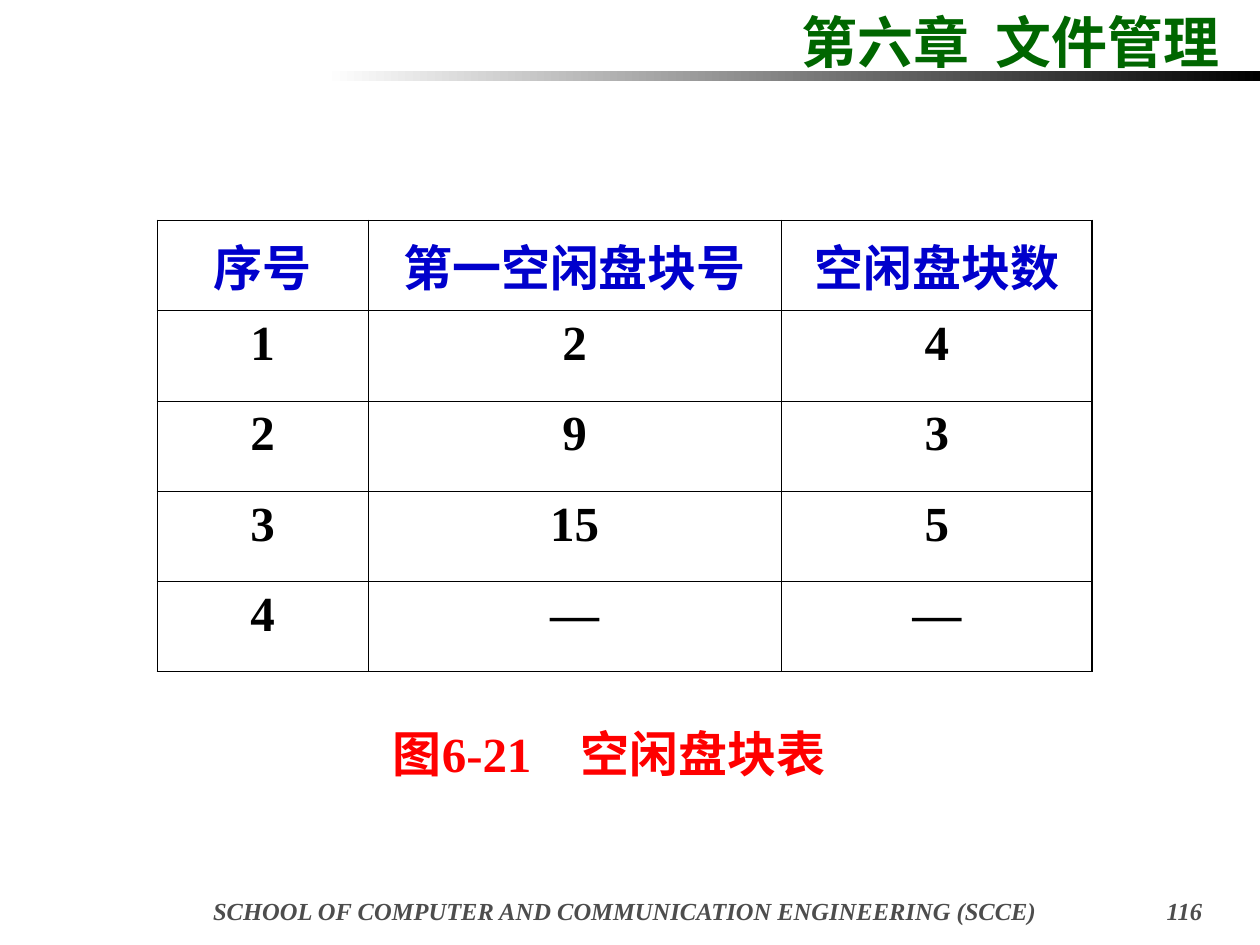
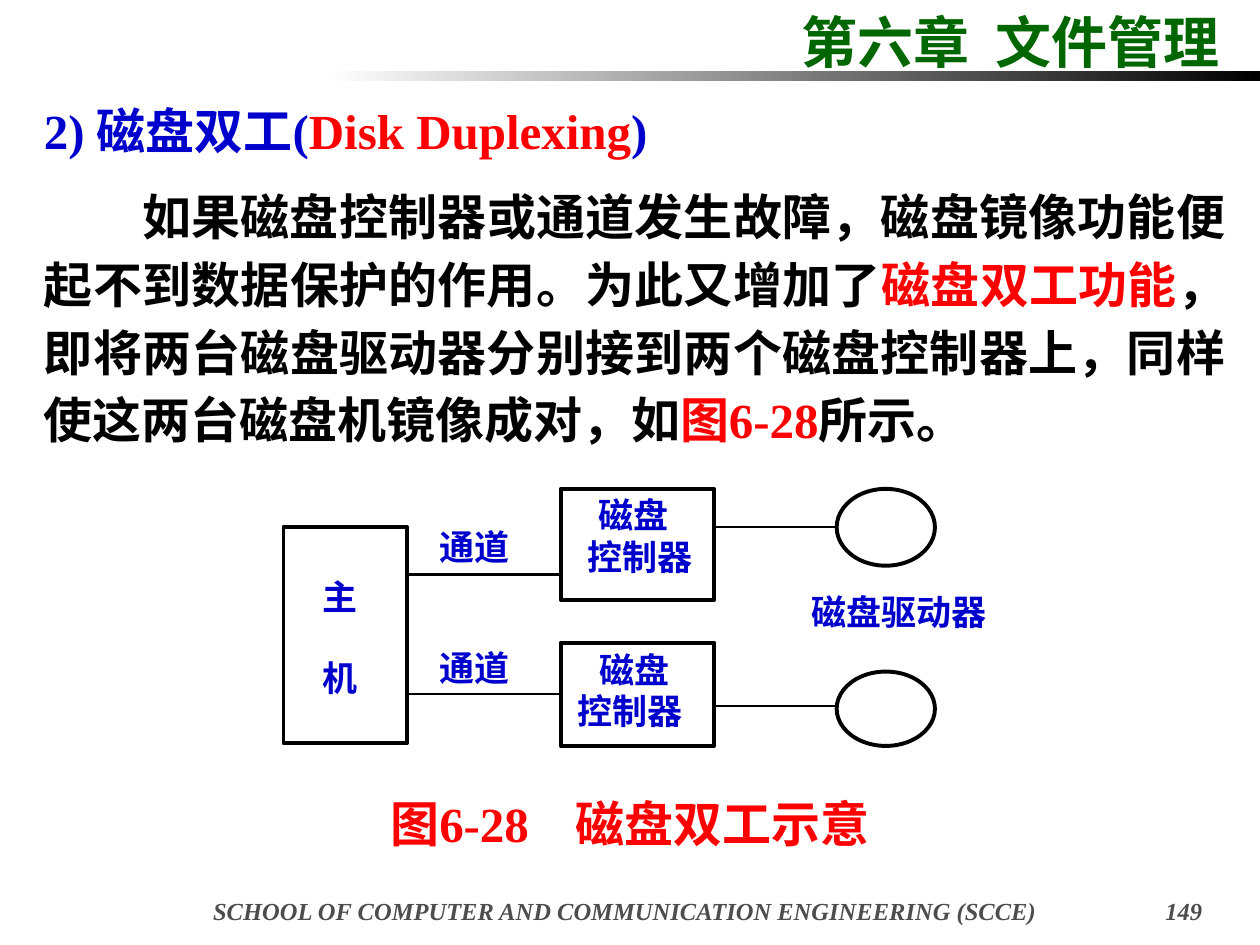
import pptx
import pptx.dml.color
import pptx.enum.dml
import pptx.enum.shapes
import pptx.enum.text
import pptx.oxml
import pptx.oxml.ns
import pptx.util

Inches = pptx.util.Inches
Pt = pptx.util.Pt
RGBColor = pptx.dml.color.RGBColor
SHAPE = pptx.enum.shapes.MSO_SHAPE
ALIGN = pptx.enum.text.PP_ALIGN
qn = pptx.oxml.ns.qn

BLACK = RGBColor(0x00, 0x00, 0x00)
WHITE = RGBColor(0xFF, 0xFF, 0xFF)
GREEN = RGBColor(0x00, 0x66, 0x00)
BLUE = RGBColor(0x00, 0x00, 0xCC)
RED = RGBColor(0xFF, 0x00, 0x00)
GREY = RGBColor(0x4D, 0x4D, 0x4D)
SERIF = "Times New Roman"
SANS = "Noto Sans CJK SC"


class Deck:
    """Holds the chapter style and the current slide, and draws each kind of element."""

    def __init__(self):
        self.prs = pptx.Presentation()
        self.prs.slide_width = Inches(10)
        self.prs.slide_height = Inches(7.5)
        self.s = None

    def slide(self, number):
        self.s = self.prs.slides.add_slide(self.prs.slide_layouts[6])
        self.text(6.26, 0.01, 3.6, 0.64, "第六章\t文件管理", GREEN, 32, tab=1.54)
        self.band()
        self.text(1.22, 7.06, 7.48, 0.26,
                  "SCHOOL OF COMPUTER AND COMMUNICATION ENGINEERING (SCCE)",
                  GREY, 14, italic=True, align=ALIGN.CENTER)
        self.text(8.7, 7.06, 0.94, 0.24, number, GREY, 14, italic=True, align=ALIGN.RIGHT)

    def band(self):
        sp = self.s.shapes.add_shape(SHAPE.RECTANGLE, Inches(2.58), Inches(0.56),
                                     Inches(7.42), Inches(0.08))
        sp.shadow.inherit = False
        sp.line.fill.background()
        sp.fill.gradient()
        sp.fill.gradient_angle = 180
        for stop, color in zip(sp.fill.gradient_stops, (BLACK, WHITE)):
            stop.color.rgb = color

    def run(self, p, text, color, size, font=SERIF, italic=False):
        r = p.add_run()
        r.text = text
        r.font.name = font
        r.font.size = Pt(size)
        r.font.bold = True
        r.font.italic = italic
        r.font.color.rgb = color
        ea = pptx.oxml.parse_xml(
            f'<a:ea {pptx.oxml.ns.nsdecls("a")} typeface="{SANS}"/>')
        r.font._element.find(qn("a:latin")).addnext(ea)

    def box(self, x, y, w, h, inset=True):
        tf = self.s.shapes.add_textbox(Inches(x), Inches(y), Inches(w), Inches(h)).text_frame
        tf.word_wrap = inset
        if not inset:
            tf.margin_left = tf.margin_right = tf.margin_top = tf.margin_bottom = 0
        return tf

    def text(self, x, y, w, h, text, color, size, italic=False, align=ALIGN.LEFT, tab=None):
        p = self.box(x, y, w, h).paragraphs[0]
        if tab:
            p._p.get_or_add_pPr().append(pptx.oxml.parse_xml(
                f'<a:tabLst {pptx.oxml.ns.nsdecls("a")}>'
                f'<a:tab pos="{Inches(tab)}" algn="l"/></a:tabLst>'))
        p.alignment = align
        self.run(p, text, color, size, italic=italic)

    def caption(self, x, y, text, tab=None):
        self.text(x, y, 4.2, 0.57, text, RED, 28, tab=tab)

    def body(self, x, y, w, h, paragraphs):
        tf = self.box(x, y, w, h)
        for i, (indent, runs) in enumerate(paragraphs):
            p = tf.add_paragraph() if i else tf.paragraphs[0]
            p._p.get_or_add_pPr().set("indent", str(Inches(indent)))
            p.alignment = ALIGN.JUSTIFY
            p.line_spacing = Pt(38.7)
            p.space_before = Pt(10.5 if i else 0)
            for text, color in runs:
                self.run(p, text, color, 28)

    def label(self, x, y, text):
        p = self.box(x, y, 0.28 * len(text), 0.33, inset=False).paragraphs[0]
        self.run(p, text, BLUE, 20, SANS)

    def outline(self, kind, x, y, w, h, fill=None):
        sp = self.s.shapes.add_shape(kind, Inches(x), Inches(y), Inches(w), Inches(h))
        sp.shadow.inherit = False
        if fill is None:
            sp.fill.background()
        else:
            sp.fill.solid()
            sp.fill.fore_color.rgb = fill
        sp.line.color.rgb = BLACK
        sp.line.width = Pt(2.25)
        return sp

    def link(self, x1, x2, y):
        c = self.s.shapes.add_connector(pptx.enum.shapes.MSO_CONNECTOR.STRAIGHT,
                                        Inches(x1), Inches(y), Inches(x2), Inches(y))
        c.line.color.rgb = BLACK
        c.line.width = Pt(1.25)
        c._element.spPr.append(pptx.oxml.parse_xml(
            f'<a:effectLst {pptx.oxml.ns.nsdecls("a")}/>'))
        return c

    def borders(self, cell, outer):
        tcPr = cell._tc.get_or_add_tcPr()
        for i, side in enumerate(("L", "R", "T", "B")):
            width = Pt(1.08 if side in outer else 0.45)
            tcPr.insert(i, pptx.oxml.parse_xml(
                f'<a:ln{side} {pptx.oxml.ns.nsdecls("a")} w="{width}">'
                f'<a:solidFill><a:srgbClr val="{BLACK}"/></a:solidFill></a:ln{side}>'))

    def table(self, x, y, widths, row_height, rows):
        last_row, last_col = len(rows) - 1, len(widths) - 1
        t = self.s.shapes.add_table(len(rows), len(widths), Inches(x), Inches(y),
                                    Inches(sum(widths)), Inches(row_height * len(rows))).table
        t.first_row = t.horz_banding = False
        for col, width in zip(t.columns, widths):
            col.width = Inches(width)
        for i, row in enumerate(rows):
            t.rows[i].height = Inches(row_height)
            for j, text in enumerate(row):
                cell = t.cell(i, j)
                cell.fill.background()
                if i == 0:
                    cell.vertical_anchor = pptx.enum.text.MSO_ANCHOR.MIDDLE
                edges = {"L": j == 0, "R": j == last_col, "T": i == 0, "B": i == last_row}
                self.borders(cell, [side for side, on in edges.items() if on])
                p = cell.text_frame.paragraphs[0]
                p.alignment = ALIGN.CENTER
                self.run(p, text, BLACK if i else BLUE, 28)


def free_block_table(deck):
    deck.slide("116")
    deck.caption(3.02, 5.69, "图6-21　空闲盘块表")
    deck.table(1.25, 1.75, (1.67, 3.28, 2.47), 0.716, (
        ("序号", "第一空闲盘块号", "空闲盘块数"),
        ("1", "2", "4"),
        ("2", "9", "3"),
        ("3", "15", "5"),
        ("4", "—", "—"),
    ))


def disk_duplexing(deck):
    deck.slide("149")
    deck.body(0.25, 0.68, 9.58, 2.93, (
        (0, (("2) 磁盘双工(", BLUE), ("Disk Duplexing", RED), (")", BLUE))),
        (0.78, (
            ("如果磁盘控制器或通道发生故障，磁盘镜像功能便起不到数据保护的作用。为此又增加了", BLACK),
            ("磁盘双工功能", RED),
            ("，即将两台磁盘驱动器分别接到两个磁盘控制器上，同样使这两台磁盘机镜像成对，如", BLACK),
            ("图6-28", RED),
            ("所示。", BLACK),
        )),
    ))
    deck.caption(3, 6.25, "图6-28\t磁盘双工示意", tab=1.47)

    deck.outline(SHAPE.RECTANGLE, 2.25, 4.18, 0.98, 1.72, WHITE)
    upper = deck.outline(SHAPE.RECTANGLE, 4.45, 3.88, 1.22, 0.88, WHITE)
    lower = deck.outline(SHAPE.RECTANGLE, 4.45, 5.1, 1.22, 0.82, WHITE)
    for drive_y, drive_h in ((3.88, 0.61), (5.33, 0.59)):
        deck.outline(SHAPE.OVAL, 6.64, drive_y, 0.78, drive_h)

    deck.link(3.23, upper.left.inches, 4.56)
    deck.link(3.23, lower.left.inches, 5.51).end_connect(lower, 1)
    for drive_link_y in (4.18, 5.6):
        deck.link(5.67, 6.64, drive_link_y)

    for x, y, text in (
        (2.56, 4.57, "主"), (2.56, 5.21, "机"),
        (4.75, 3.92, "磁盘"), (4.66, 4.25, "控制器"),
        (4.76, 5.15, "磁盘"), (4.58, 5.47, "控制器"),
        (3.49, 4.17, "通道"), (3.49, 5.13, "通道"),
        (6.44, 4.69, "磁盘驱动器"),
    ):
        deck.label(x, y, text)


def main():
    deck = Deck()
    free_block_table(deck)
    disk_duplexing(deck)
    deck.prs.save("out.pptx")


if __name__ == "__main__":
    main()
